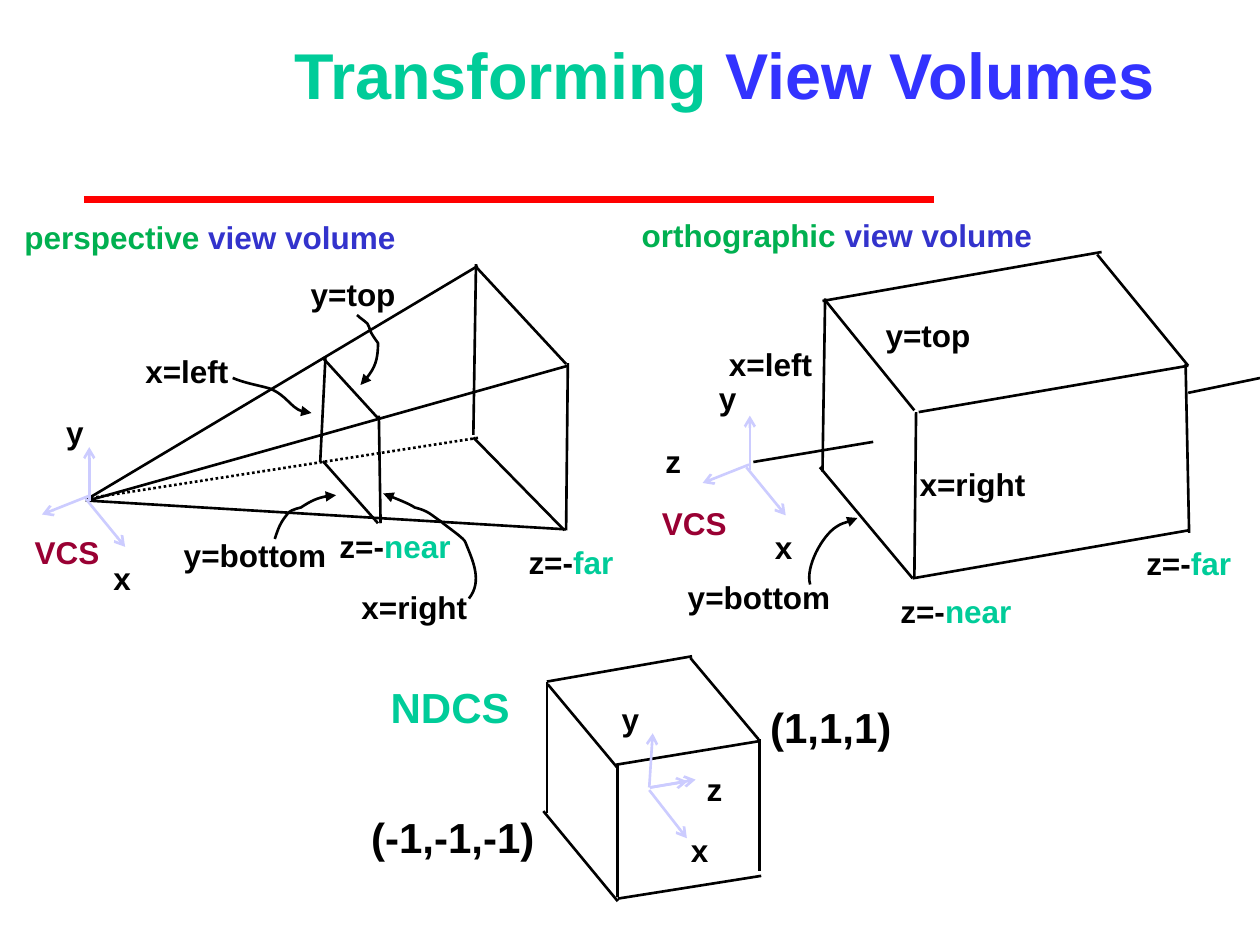
from lxml import etree
from pptx import Presentation
from pptx import util as u
from pptx.dml.color import RGBColor
from pptx.enum import dml, shapes, text
from pptx.oxml.ns import qn

COLOURS = {
    "ink": "000000",
    "rule": "FF0000",
    "teal": "00CC99",
    "blue": "3333FF",
    "navy": "3333CC",
    "green": "00B050",
    "wine": "990033",
    "axis": "CCCCFF",
}
LABEL_WIDTH = 76.5
NEAR = [("z=-", "ink"), ("near", "teal")]
FAR = [("z=-", "ink"), ("far", "teal")]
VCS = [("VCS", "wine")]


def colour(name):
    return RGBColor.from_string(COLOURS[name])


def add_runs(para, runs, size):
    for words, name in runs:
        span = para.add_run()
        span.text = words
        span.font.name = "Arial"
        span.font.size = u.Pt(size)
        span.font.bold = True
        span.font.color.rgb = colour(name)


def style_line(shape, name="ink", width=1.5, arrow=None):
    shape.line.color.rgb = colour(name)
    shape.line.width = u.Pt(width)
    if arrow:
        etree.SubElement(shape.line._get_or_add_ln(), qn("a:tailEnd"), type=arrow)


def add_line(group, origin, ends, name="ink", width=1.5, arrow=None):
    left, top = origin
    x1, y1, x2, y2 = ends
    line = group.add_connector(
        shapes.MSO_CONNECTOR.STRAIGHT,
        u.Pt(left + x1), u.Pt(top + y1), u.Pt(left + x2), u.Pt(top + y2))
    style_line(line, name, width, arrow)
    etree.SubElement(line._element.spPr, qn("a:effectLst"))
    return line


def add_label(group, origin, runs, x, y, width=LABEL_WIDTH, size=18, wrap=True):
    if isinstance(runs, str):
        runs = [(runs, "ink")]
    box = group.add_textbox(
        u.Pt(origin[0] + x), u.Pt(origin[1] + y), u.Pt(width), u.Pt(size * 1.2 + 7.2))
    box.text_frame.word_wrap = wrap
    para = box.text_frame.paragraphs[0]
    para.alignment = text.PP_ALIGN.CENTER
    add_runs(para, runs, size)


def add_curve(group, origin, points):
    places = [(origin[0] + x, origin[1] + y) for x, y in points]
    builder = group.build_freeform(*places[0], scale=u.Pt(1))
    builder.add_line_segments(places[1:], close=False)
    curve = builder.convert_to_shape()
    steps = list(curve._element.iter(qn("a:lnTo")))
    for first, second, third in zip(steps[::3], steps[1::3], steps[2::3]):
        first.tag = qn("a:cubicBezTo")
        for step in (second, third):
            first.append(step[0])
            step.getparent().remove(step)
    curve.fill.background()
    curve.shadow.inherit = False
    style_line(curve, arrow="triangle")


def add_parts(group, origin, edges, labels, curves=()):
    for edge in edges:
        add_line(group, origin, edge)
    for label in labels:
        add_label(group, origin, *label)
    for points in curves:
        add_curve(group, origin, points)


def add_axes(group, origin, arrows):
    for ends in arrows:
        add_line(group, origin, ends, "axis", arrow="arrow")


def add_viewing_axes(group, origin):
    add_axes(group, origin, [
        (0, 1.5, 0, -29.5), (-0.5, -1.5, -27, 9), (-2, 0, 20.5, 27.5)])


def add_heading(page):
    add_line(page.shapes, (48, 113.75), (0, 0, 486, 0), "rule", 4)
    title = page.shapes.title
    title.left, title.top, title.width, title.height = map(u.Pt, (108, 0, 612, 84))
    frame = title.text_frame
    frame.auto_size = text.MSO_AUTO_SIZE.NONE
    frame.vertical_anchor = text.MSO_ANCHOR.MIDDLE
    para = frame.paragraphs[0]
    para.alignment = text.PP_ALIGN.CENTER
    add_runs(para, [("Transforming ", "teal"), ("View Volumes", "blue")], 37)


def add_perspective_volume(page, left, top):
    origin = left, top
    group = page.shapes.add_group_shape().shapes
    add_label(group, origin, [("perspective ", "green"), ("view volume", "navy")],
              6.5, 1, 227, wrap=False)
    edges = [
        (51, 164.5, 273, 32), (50.5, 166, 324.5, 89), (49, 166, 323.5, 182.5),
        (323.5, 183, 324.5, 87.5), (323.5, 88, 272, 32.5), (270.5, 128.5, 272, 31),
        (322.5, 183, 270.5, 130), (217.5, 179, 216.5, 117.5), (216, 119, 184.5, 84.5),
        (184.5, 143.5, 216, 179), (183, 144, 186, 84)]
    labels = [
        ("x=left", 68.5, 77.5), ("x=right", 198.5, 212.5), ("y=top", 163.5, 33.5),
        ("y=bottom", 91.5, 182.5, 108.5), (NEAR, 172, 177.5, 107.5),
        (FAR, 288, 186.5), ("x", 31.5, 196), (VCS, 0, 181), ("y", 4.5, 112.5)]
    curves = [
        [(268, 222.5), (276.5, 212.5), (270.5, 199.5), (266.5, 189.5),
         (265.5, 188), (254, 179.5), (252.5, 178), (246, 174.5), (245, 171.5),
         (237, 169.5), (233.5, 168), (229, 166), (224.5, 164.5),
         (218, 161.5), (222.5, 164.5), (219, 162)],
        [(133, 96.5), (139.5, 99), (147, 100.5), (154, 102.5),
         (164, 106), (167, 116), (178.5, 116)],
        [(203.5, 60.5), (206, 62), (208, 63), (209.5, 65), (211, 66.5), (211, 68),
         (211.5, 69.5), (213, 71.5), (216.5, 76.5), (216.5, 76.5),
         (215.5, 86), (213, 93), (206.5, 100.5)],
        [(157, 187.5), (159, 182.5), (160, 179), (163.5, 174.5), (165, 171.5),
         (168.5, 171), (171.5, 169.5), (178, 166.5), (185, 163), (192, 163)]]
    add_parts(group, origin, edges, labels, curves)
    hidden_edge = add_line(group, origin, (49, 165, 274.5, 130))
    hidden_edge.line.dash_style = dml.MSO_LINE.ROUND_DOT
    add_viewing_axes(group, (left + 51, top + 165))


def add_orthographic_volume(page, left, top):
    origin = left, top
    group = page.shapes.add_group_shape().shapes
    add_label(group, origin, [("orthographic ", "green"), ("view volume", "navy")],
              13.5, 0, 237.5, wrap=False)
    edges = [
        (124, 52, 283.5, 24), (179, 115.5, 333, 89), (333, 89, 281, 25.5),
        (176.5, 114.5, 125.5, 51.5), (175.5, 210.5, 122.5, 147),
        (176.5, 210.5, 177.5, 115.5), (124, 149.5, 125.5, 50.5),
        (333.5, 184.5, 331.5, 88), (175.5, 210.5, 333.5, 183),
        (84.5, 144, 153, 132.5), (333, 104.5, 374, 96)]
    labels = [
        ("x", 63.5, 178), ("z", 0.5, 129), (VCS, 12.5, 164.5), ("y", 31.5, 93),
        ("x=left", 56, 73.5), ("y=top", 146, 57), ("x=right", 171.5, 142),
        (FAR, 295, 187.5), (NEAR, 149.5, 215, 101.5), ("y=bottom", 37, 207, 101.5)]
    curves = [[(117, 213.5), (113.5, 203.5), (123.5, 186), (131.5, 181),
               (135, 179), (139.5, 177.5), (143.5, 176)]]
    add_parts(group, origin, edges, labels, curves)
    add_viewing_axes(group, (left + 82.5, top + 147))


def add_normalized_cube(page, left, top):
    origin = left, top
    edges = [
        (168, 138.5, 250, 125.5), (167, 62, 249, 48.5), (127.5, 14.5, 210.5, 0),
        (168, 62, 168, 137.5), (249, 47.5, 249, 123), (127.5, 15, 127.5, 89.5),
        (125.5, 88.5, 168, 140), (128, 16, 168, 64), (209.5, 1, 248.5, 47.5)]
    labels = [
        ("x", 176.5, 96.5), ("z", 185, 61.5), ("y", 137, 21.5),
        ([("NDCS", "teal")], 18, 11, 108.5, 24),
        ("(-1,-1,-1)", 0, 85, 147.5, 24), ("(1,1,1)", 216, 22.5, 147.5, 24)]
    add_parts(page.shapes, origin, edges, labels)
    add_axes(page.shapes, origin, [
        (186.5, 75, 212.5, 70.5), (186, 76.5, 207.5, 104),
        (186, 75, 188, 44), (186.5, 75, 208, 71.5)])


def main():
    deck = Presentation()
    deck.slide_width, deck.slide_height = u.Pt(720), u.Pt(540)
    page = deck.slides.add_slide(deck.slide_layouts[5])
    add_heading(page)
    add_normalized_cube(page, 185, 375)
    add_orthographic_volume(page, 346, 120)
    add_perspective_volume(page, 0, 120)
    deck.save("out.pptx")


if __name__ == "__main__":
    main()
